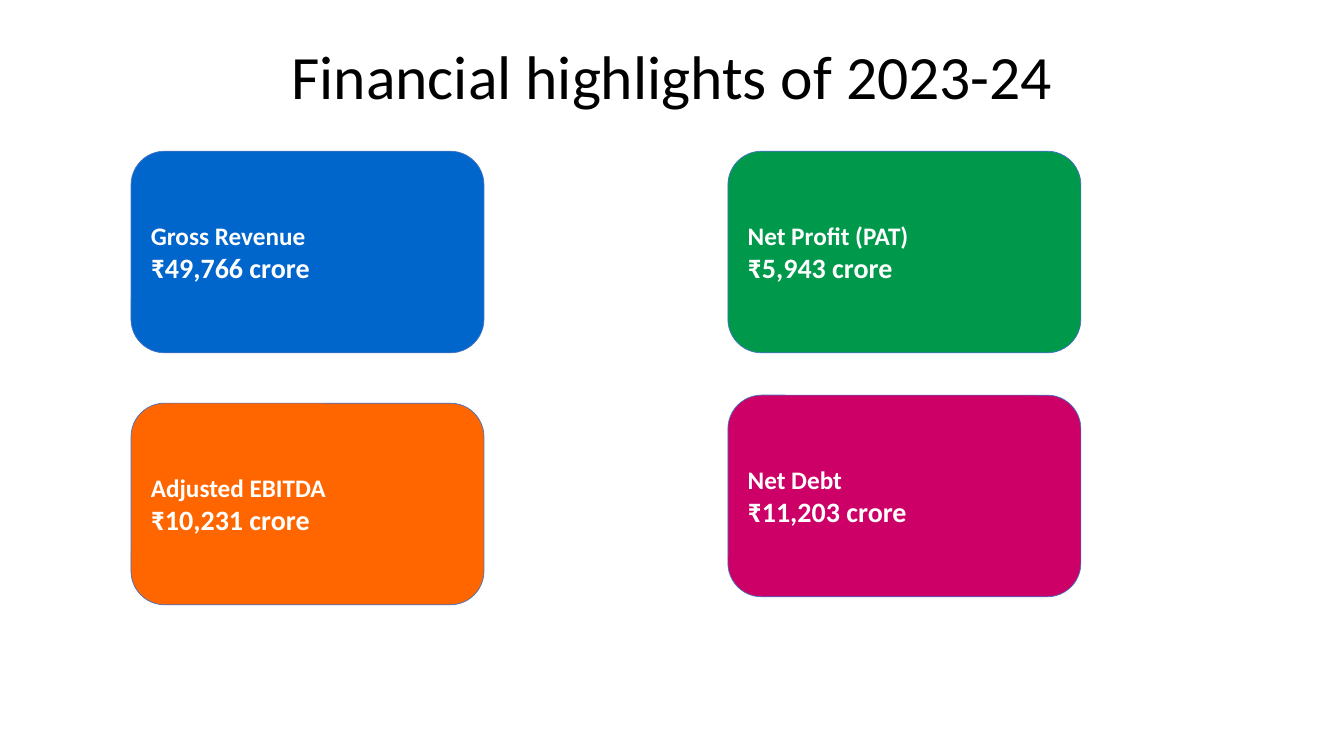
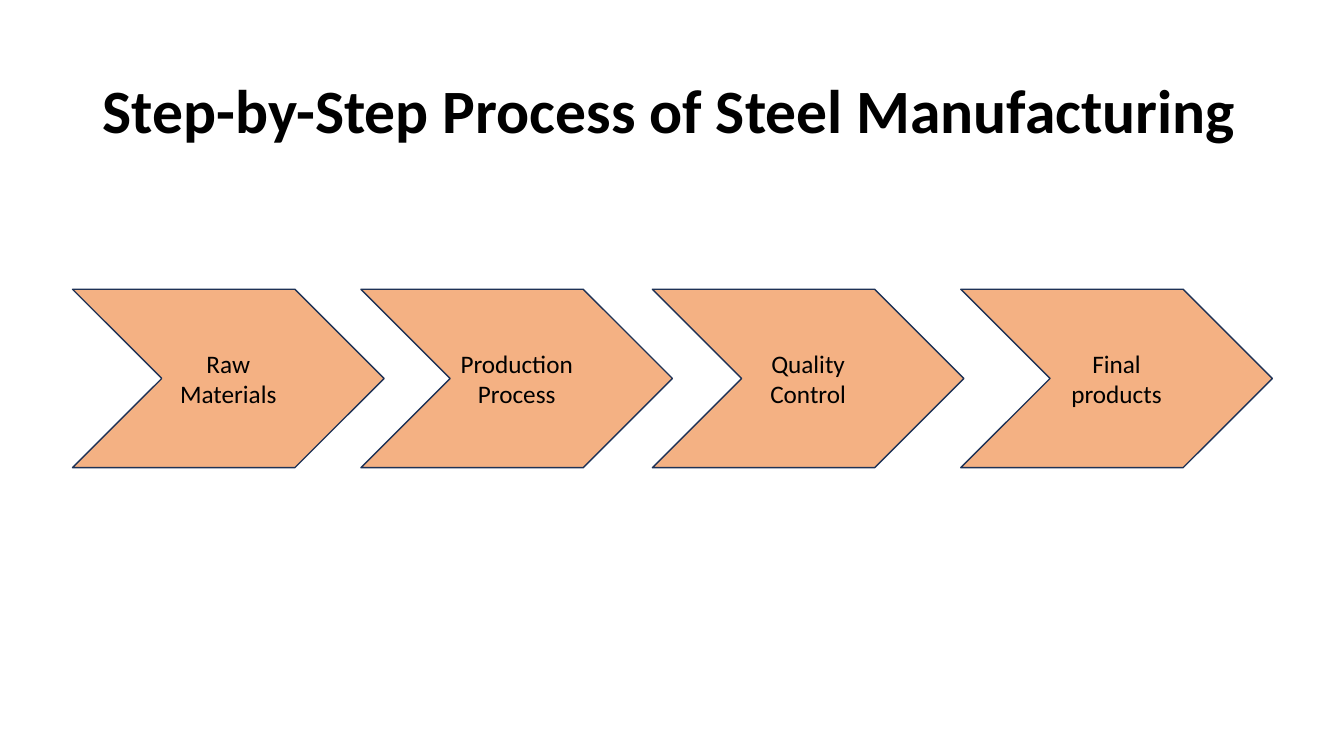
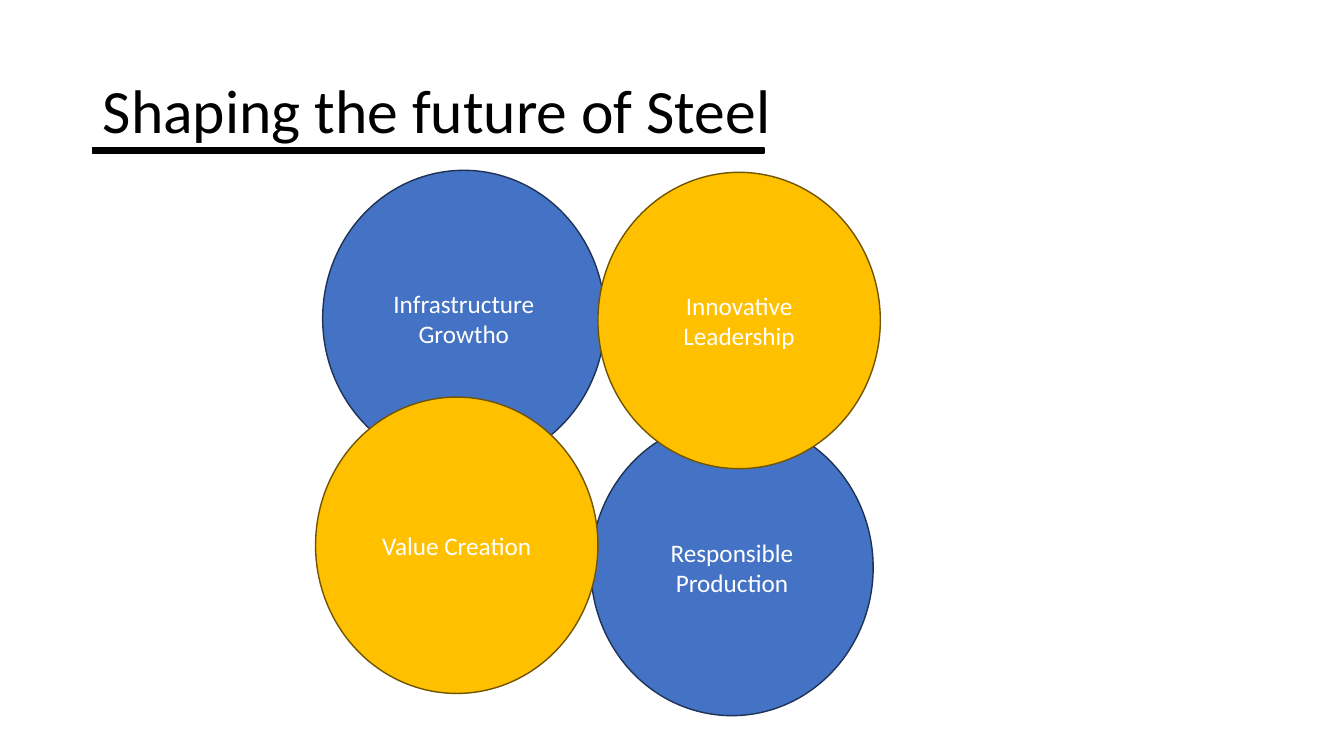
from dataclasses import dataclass

import pptx
import pptx.dml.color
import pptx.enum.shapes
import pptx.enum.text
import pptx.presentation
import pptx.shapes.autoshape
import pptx.slide
import pptx.util

SLIDE_WIDTH = pptx.util.Inches(13.33)
SLIDE_HEIGHT = pptx.util.Inches(7.5)
FONT = "Calibri"
BLACK, WHITE = "000000", "FFFFFF"
BLUE, GOLD, PEACH = "4472C4", "FFC000", "F4B183"
NAVY, BRONZE = "1E3256", "705400"

Shape = pptx.enum.shapes.MSO_SHAPE
Align = pptx.enum.text.PP_ALIGN
Anchor = pptx.enum.text.MSO_ANCHOR


@dataclass(frozen=True)
class Frame:
    """A place on the slide, in percent of the slide's width and height."""
    left: float
    top: float
    width: float
    height: float

    def lengths(self) -> tuple[int, int, int, int]:
        return (
            round(SLIDE_WIDTH * self.left / 100),
            round(SLIDE_HEIGHT * self.top / 100),
            round(SLIDE_WIDTH * self.width / 100),
            round(SLIDE_HEIGHT * self.height / 100),
        )


@dataclass(frozen=True)
class Look:
    fill: str
    line: str
    line_width: float = 1
    text: str = WHITE
    align: Align = Align.CENTER
    bold: bool = False
    sizes: tuple[int, ...] = (18,)


@dataclass(frozen=True)
class Card:
    label: str
    amount: str
    fill: str
    left: float
    top: float


@dataclass(frozen=True)
class Circle:
    label: str
    look: Look
    left: float
    top: float


TITLE_FRAME = Frame(6.9, 5.33, 86.27, 19.33)
UNDERLINE_FRAME = Frame(6.9, 19.6, 49.96, 0.67)

CARD_WIDTH, CARD_HEIGHT = 26.26, 26.67
CARD_LEFT, CARD_RIGHT = 9.75, 54.16
CARDS = [
    Card("Gross Revenue", "₹49,766 crore", "0066CC", CARD_LEFT, 20),
    Card("Net Profit (PAT)", "₹5,943 crore", "00994C", CARD_RIGHT, 20),
    Card("Adjusted EBITDA", "₹10,231 crore", "FF6600", CARD_LEFT, 53.33),
    Card("Net Debt", "₹11,203 crore", "CC0066", CARD_RIGHT, 52.27),
]

STEP_TOP, STEP_WIDTH, STEP_HEIGHT = 38.27, 23.18, 23.6
STEP_LOOK = Look(PEACH, NAVY, text=BLACK)
STEPS = {
    "Raw Materials": 5.4,
    "Production Process": 26.86,
    "Quality Control": 48.54,
    "Final products": 71.49,
}

CIRCLE_WIDTH, CIRCLE_HEIGHT = 21.01, 39.2
BLUE_LOOK, GOLD_LOOK = Look(BLUE, NAVY), Look(GOLD, BRONZE)
CIRCLES = [
    Circle("Infrastructure Growtho", BLUE_LOOK, 24.01, 22.53),
    Circle("Responsible Production", BLUE_LOOK, 43.96, 55.47),
    Circle("Value Creation", GOLD_LOOK, 23.48, 52.53),
    Circle("Innovative Leadership", GOLD_LOOK, 44.49, 22.8),
]


def color(value: str) -> pptx.dml.color.RGBColor:
    return pptx.dml.color.RGBColor.from_string(value)


def format_paragraph(para, size: int, text_color: str, align: Align, bold: bool) -> None:
    para.alignment = align
    for span in para.runs:
        span.font.name = FONT
        span.font.size = pptx.util.Pt(size)
        span.font.bold = bold
        span.font.color.rgb = color(text_color)


def add_titled_page(
    deck: pptx.presentation.Presentation,
    title: str,
    align: Align = Align.LEFT,
    bold: bool = False,
    bottom_inset: float = 0.05,
) -> pptx.slide.Slide:
    page = deck.slides.add_slide(deck.slide_layouts.get_by_name("Title Only"))
    box = page.shapes.title
    box.left, box.top, box.width, box.height = TITLE_FRAME.lengths()
    frame = box.text_frame
    frame.text = title
    frame.word_wrap = True
    frame.auto_size = pptx.enum.text.MSO_AUTO_SIZE.NONE
    frame.vertical_anchor = Anchor.MIDDLE
    frame.margin_bottom = pptx.util.Inches(bottom_inset)
    para = frame.paragraphs[0]
    para.line_spacing = 0.9
    format_paragraph(para, 44, BLACK, align, bold)
    return page


def add_figure(
    page: pptx.slide.Slide, kind: Shape, frame: Frame, look: Look, text: str = ""
) -> pptx.shapes.autoshape.Shape:
    """Add a preset shape; each line of text takes its size from the look."""
    figure = page.shapes.add_shape(kind, *frame.lengths())
    figure.shadow.inherit = False
    figure.fill.solid()
    figure.fill.fore_color.rgb = color(look.fill)
    figure.line.color.rgb = color(look.line)
    figure.line.width = pptx.util.Pt(look.line_width)
    if text:
        figure.text_frame.text = text
        figure.text_frame.word_wrap = True
        figure.text_frame.vertical_anchor = Anchor.MIDDLE
        for para, size in zip(figure.text_frame.paragraphs, look.sizes):
            format_paragraph(para, size, look.text, look.align, look.bold)
    return figure


def add_highlights(deck: pptx.presentation.Presentation) -> None:
    page = add_titled_page(
        deck, "Financial highlights of 2023-24", Align.CENTER, bottom_inset=0.72
    )
    for card in CARDS:
        look = Look(card.fill, BLUE, 0.5, align=Align.LEFT, bold=True, sizes=(18, 20))
        frame = Frame(card.left, card.top, CARD_WIDTH, CARD_HEIGHT)
        add_figure(page, Shape.ROUNDED_RECTANGLE, frame, look, f"{card.label}\n{card.amount}")


def add_process(deck: pptx.presentation.Presentation) -> None:
    page = add_titled_page(deck, "Step-by-Step Process of Steel Manufacturing", bold=True)
    for label, left in STEPS.items():
        frame = Frame(left, STEP_TOP, STEP_WIDTH, STEP_HEIGHT)
        add_figure(page, Shape.CHEVRON, frame, STEP_LOOK, label)


def add_future(deck: pptx.presentation.Presentation) -> None:
    page = add_titled_page(deck, "Shaping the future of Steel")
    add_figure(page, Shape.RECTANGLE, UNDERLINE_FRAME, Look(BLACK, BLACK))
    for circle in CIRCLES:
        frame = Frame(circle.left, circle.top, CIRCLE_WIDTH, CIRCLE_HEIGHT)
        add_figure(page, Shape.OVAL, frame, circle.look, circle.label)


def main() -> None:
    deck = pptx.Presentation()
    deck.slide_width, deck.slide_height = SLIDE_WIDTH, SLIDE_HEIGHT
    add_highlights(deck)
    add_process(deck)
    add_future(deck)
    deck.save("out.pptx")


if __name__ == "__main__":
    main()
